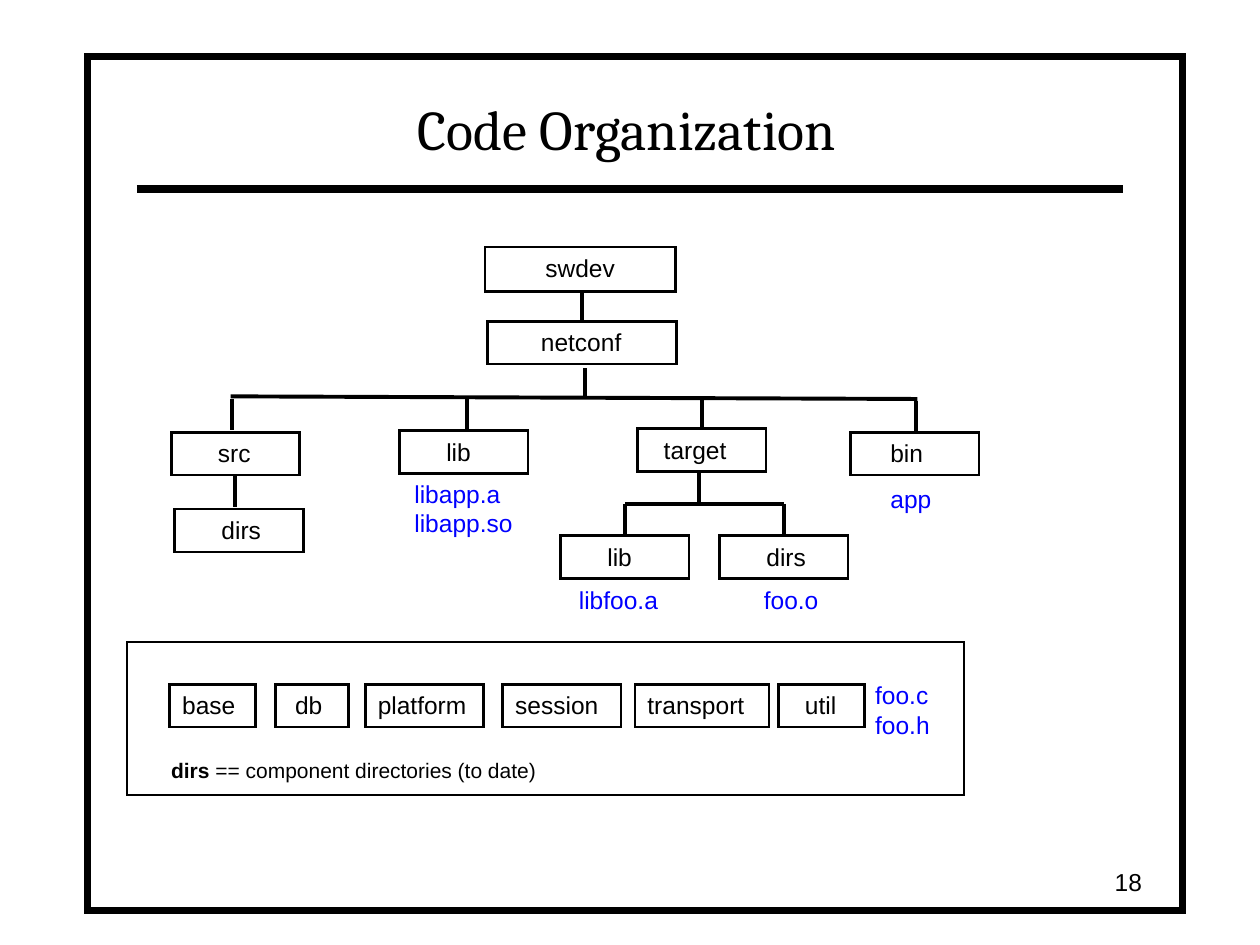
from dataclasses import dataclass

import pptx
import pptx.dml.color
import pptx.enum.shapes
import pptx.enum.text
import pptx.oxml.ns
import pptx.util
from lxml import etree

Pt = pptx.util.Pt
qn = pptx.oxml.ns.qn
ALIGN = pptx.enum.text.PP_ALIGN
ANCHOR = pptx.enum.text.MSO_ANCHOR
BLACK, WHITE, BLUE = "000000", "FFFFFF", "0000FF"
SPACE = 3.89  # width of a 14 pt Arial space


@dataclass
class Box:
    x: float
    y: float
    w: float
    h: float


@dataclass
class Node:
    text: str
    box: Box
    indent: int = 0  # in spaces


@dataclass
class Label:
    lines: list[str]
    box: Box


@dataclass
class Line:
    x1: float
    y1: float
    x2: float
    y2: float
    width: float = 2.25


@dataclass
class Run:
    text: str
    size: float = 14
    font: str = "Arial"
    color: str = BLACK
    bold: bool = False


def rgb(color: str) -> pptx.dml.color.RGBColor:
    return pptx.dml.color.RGBColor.from_string(color)


def write(tf, paragraphs: list[list[Run]], align=ALIGN.LEFT, anchor=ANCHOR.TOP,
          wrap: bool = True, indent: float = 0) -> None:
    tf.word_wrap = wrap
    tf.vertical_anchor = anchor
    tf.margin_left = Pt(7.2 + indent)
    for i, runs in enumerate(paragraphs):
        p = tf.paragraphs[0] if i == 0 else tf.add_paragraph()
        p.alignment = align
        for run in runs:
            r = p.add_run()
            r.text = run.text
            r.font.size = Pt(run.size)
            r.font.name = run.font
            r.font.bold = run.bold
            r.font.color.rgb = rgb(run.color)


def add_text(s, box: Box, paragraphs: list[list[Run]], **layout) -> None:
    sp = s.shapes.add_textbox(Pt(box.x), Pt(box.y), Pt(box.w), Pt(box.h))
    write(sp.text_frame, paragraphs, **layout)


def add_rect(s, box: Box, line: float, filled: bool = True):
    """Add a black-lined rectangle with sharp corners."""
    sp = s.shapes.add_shape(pptx.enum.shapes.MSO_SHAPE.RECTANGLE,
                            Pt(box.x), Pt(box.y), Pt(box.w), Pt(box.h))
    sp.shadow.inherit = False
    if filled:
        sp.fill.solid()
        sp.fill.fore_color.rgb = rgb(WHITE)
    else:
        sp.fill.background()
    sp.line.color.rgb = rgb(BLACK)
    sp.line.width = Pt(line)
    ln = sp._element.spPr.find(qn("a:ln"))
    etree.SubElement(ln, qn("a:miter"), lim="800000")
    return sp


def add_node(s, node: Node) -> None:
    sp = add_rect(s, node.box, 1.5, filled=False)
    write(sp.text_frame, [[Run(node.text)]], indent=node.indent * SPACE)


def add_label(s, label: Label) -> None:
    add_text(s, label.box, [[Run(t, color=BLUE)] for t in label.lines], wrap=False)


def add_line(s, line: Line) -> None:
    sp = s.shapes.add_connector(pptx.enum.shapes.MSO_CONNECTOR.STRAIGHT,
                                Pt(line.x1), Pt(line.y1), Pt(line.x2), Pt(line.y2))
    sp.line.color.rgb = rgb(BLACK)
    sp.line.width = Pt(line.width)
    etree.SubElement(sp._element.spPr, qn("a:effectLst"))


W, H = 73.4, 24.5  # directory box
TREE = [
    Node("swdev", Box(277.2, 141.1, 108.7, 25.4), 7),
    Node("netconf", Box(278.6, 183.6, 108, H), 6),
    Node("src", Box(97.9, 247, W, H), 5),
    Node("lib", Box(228.4, 246.2, W, H), 5),
    Node("target", Box(364.3, 245, W, H), 2),
    Node("bin", Box(486, 247, W, H), 4),
    Node("dirs", Box(99.9, 290.9, W, H), 5),
    Node("lib", Box(320.4, 306, W, H), 5),
    Node("dirs", Box(411.3, 306, W, H), 5),
]
COMPONENTS = [
    Node(text, Box(x, 391, w, H), indent)
    for text, x, w, indent in [
        ("base", 97, 49, 0), ("db", 157.5, 41.8, 1), ("platform", 208.8, 67.7, 0),
        ("session", 287.3, 67.7, 0), ("transport", 362.9, 76.5, 0), ("util", 445, 49, 2),
    ]
]
BRANCHES = [
    Line(332.6, 184, 332.6, 167.5),
    Line(334.1, 228, 334.1, 210.5),
    Line(131.8, 226.5, 524.2, 228),
    Line(132.5, 245.5, 132.5, 228),
    Line(267, 245.5, 267, 228),
    Line(401.1, 245, 401.1, 227),
    Line(523.3, 246.5, 523.3, 229),
    Line(134.5, 289.5, 134.5, 272),
    Line(399.5, 287.5, 399.5, 270),
    Line(447.8, 288, 357.1, 288),
    Line(357.1, 306, 357.1, 288),
    Line(447.8, 305.5, 447.8, 288),
]
LABELS = [
    Label(["libapp.a", "libapp.so"], Box(229.7, 270, 71, 41)),
    Label(["app"], Box(501.8, 272.9, 39, H)),
    Label(["libfoo.a"], Box(323.7, 330.5, 60.4, H)),
    Label(["foo.o"], Box(429.4, 330.5, 46, H)),
    Label(["foo.c", "foo.h"], Box(493, 385.2, 46, 41)),
]


def main() -> None:
    prs = pptx.Presentation()
    prs.slide_width, prs.slide_height = Pt(720), Pt(540)
    s = prs.slides.add_slide(prs.slide_layouts[6])

    add_rect(s, Box(50, 32.3, 625.7, 488), 4)
    add_line(s, Line(78.2, 108, 642, 108, 4.5))
    add_rect(s, Box(72.7, 366.7, 478, 87.6), 1)
    add_text(s, Box(77.8, 41.8, 560.9, 54), [[Run("Code Organization", 32, "Cambria")]],
             align=ALIGN.CENTER, anchor=ANCHOR.BOTTOM)
    for line in BRANCHES:
        add_line(s, line)
    for node in TREE + COMPONENTS:
        add_node(s, node)
    for label in LABELS:
        add_label(s, label)
    add_text(s, Box(90.7, 429.1, 223.2, 21.8),
             [[Run("dirs", 12, bold=True),
               Run(" == component directories (to date)", 12)]], wrap=False)
    add_text(s, Box(509.8, 492, 149.8, 24), [[Run("18")]],
             align=ALIGN.RIGHT, anchor=ANCHOR.MIDDLE)
    prs.save("out.pptx")


if __name__ == "__main__":
    main()
